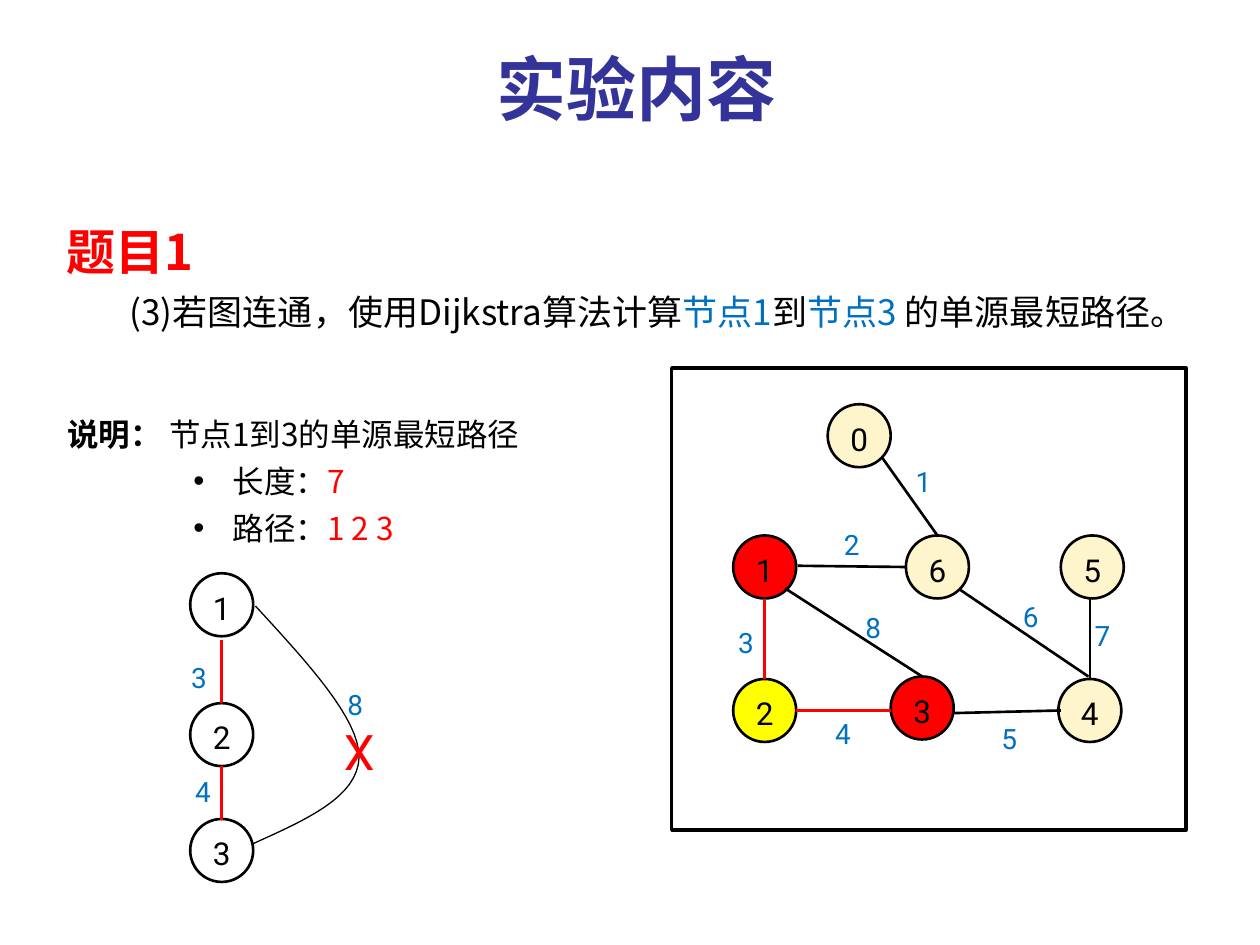
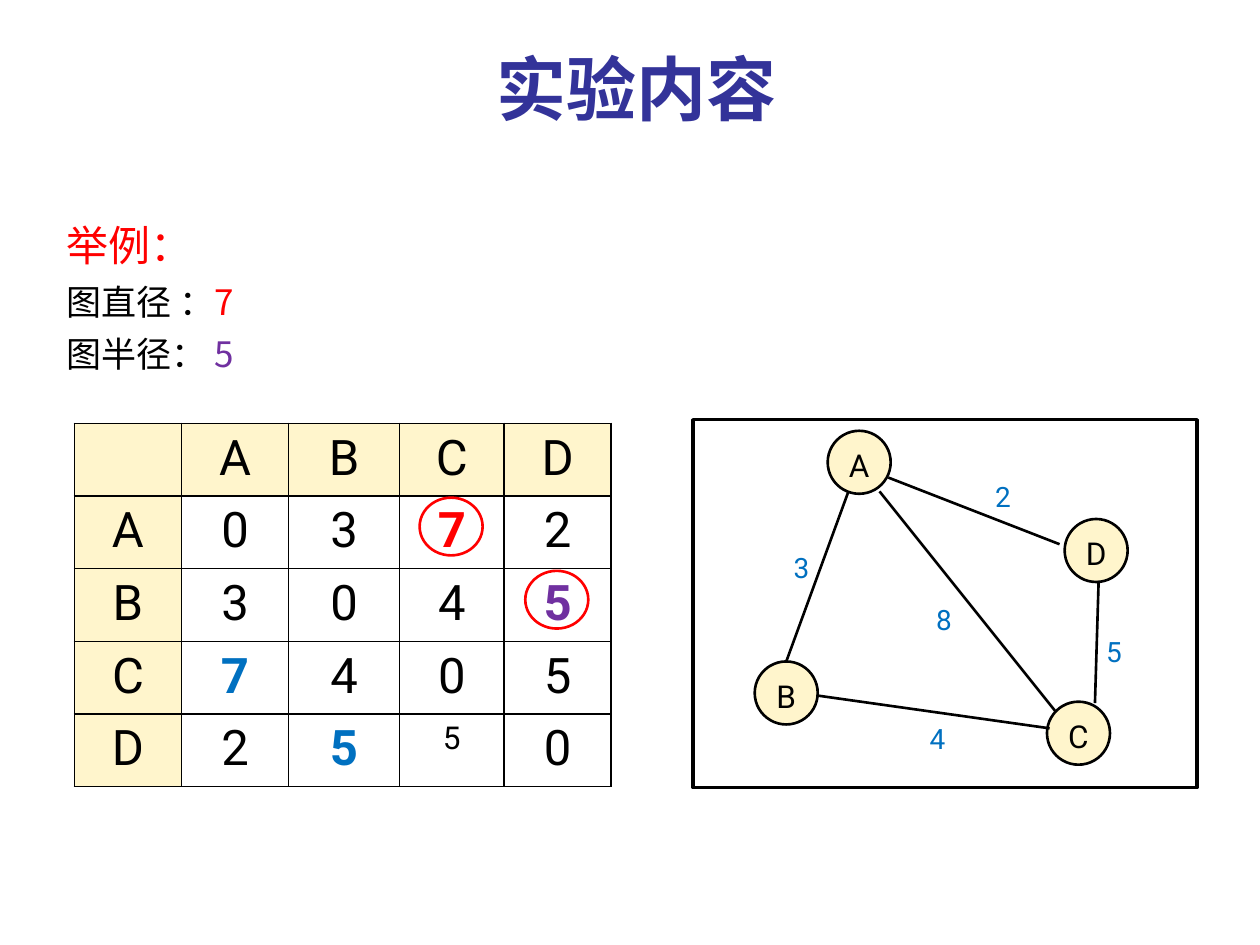
from lxml import etree
from pptx import Presentation
from pptx.dml.color import RGBColor
from pptx.enum import shapes, text
from pptx.oxml import ns
from pptx.util import Pt

COLORS = dict(black="000000", white="FFFFFF", red="FF0000", yellow="FFFF00", cream="FFF5CC",
              blue="0070C0", purple="7030A0", navy="333399")
CJK, LATIN = "Noto Sans CJK SC", "Roboto"
NODE = 36
OVAL, RECT = shapes.MSO_SHAPE.OVAL, shapes.MSO_SHAPE.RECTANGLE
LEFT, CENTER, JUSTIFY = text.PP_ALIGN.LEFT, text.PP_ALIGN.CENTER, text.PP_ALIGN.JUSTIFY


def rgb(color):
    return RGBColor.from_string(COLORS[color])


def assign(target, values):
    for key, value in values.items():
        setattr(target, key, value)


def bezier(start, c1, c2, end, steps=16):
    for step in range(1, steps + 1):
        t = step / steps
        s = 1 - t
        yield tuple(s**3 * a + 3 * s * s * t * b + 3 * s * t * t * c + t**3 * d
                    for a, b, c, d in zip(start, c1, c2, end))


class Deck:
    def __init__(self):
        self.prs = Presentation()
        assign(self.prs, dict(slide_width=Pt(720), slide_height=Pt(540)))

    def new_slide(self):
        self.slide = self.prs.slides.add_slide(self.prs.slide_layouts[6])

    def fill_paragraph(self, paragraph, runs, size, font=LATIN, align=LEFT, spacing=1.0,
                       margin=0, indent=0, bullet=None):
        assign(paragraph, dict(alignment=align, line_spacing=spacing))
        props = paragraph._p.get_or_add_pPr()
        if margin or indent:
            props.set("marL", str(Pt(margin)))
            props.set("indent", str(Pt(indent)))
        if bullet:
            etree.SubElement(props, ns.qn("a:buFont"), typeface="Arial")
            etree.SubElement(props, ns.qn("a:buChar"), char=bullet)
        for words, color, bold in runs:
            run = paragraph.add_run()
            run.text = words
            assign(run.font, dict(size=Pt(size), bold=bold, name=font))
            run.font.color.rgb = rgb(color)
            etree.SubElement(run._r.get_or_add_rPr(), ns.qn("a:ea"), typeface=font)

    def text(self, left, top, width, height, paragraphs, anchor=text.MSO_ANCHOR.TOP, wrap=True):
        frame = self.slide.shapes.add_textbox(Pt(left), Pt(top), Pt(width), Pt(height)).text_frame
        assign(frame, dict(word_wrap=wrap, vertical_anchor=anchor))
        for index, style in enumerate(paragraphs):
            paragraph = frame.add_paragraph() if index else frame.paragraphs[0]
            self.fill_paragraph(paragraph, **style)

    def title(self, words):
        self.text(59.8, 18, 607.7, 59.8,
                  [dict(runs=[(words, "navy", True)], size=40, font=CJK, align=CENTER)],
                  anchor=text.MSO_ANCHOR.BOTTOM)

    def prose(self, left, top, width, height, lines):
        shared = dict(font=CJK, align=JUSTIFY, spacing=1.25)
        self.text(left, top, width, height, [{**shared, **line} for line in lines])

    def outline(self, shape, fill, line, weight):
        shape.shadow.inherit = False
        if fill:
            shape.fill.solid()
            shape.fill.fore_color.rgb = rgb(fill)
        else:
            shape.fill.background()
        shape.line.color.rgb = rgb(line)
        shape.line.width = Pt(weight)

    def shape(self, kind, left, top, width, height, fill, line="black", weight=1.5):
        shape = self.slide.shapes.add_shape(kind, Pt(left), Pt(top), Pt(width), Pt(height))
        self.outline(shape, fill, line, weight)
        return shape

    def node(self, name, left, top, fill="cream"):
        frame = self.shape(OVAL, left, top, NODE, NODE, fill).text_frame
        assign(frame, dict(word_wrap=False, vertical_anchor=text.MSO_ANCHOR.TOP))
        self.fill_paragraph(frame.paragraphs[0], [(name, "black", False)], 18, align=CENTER)

    def edge(self, x1, y1, x2, y2, color="black"):
        line = self.slide.shapes.add_connector(
            shapes.MSO_CONNECTOR.STRAIGHT, Pt(x1), Pt(y1), Pt(x2), Pt(y2))
        line.line.color.rgb = rgb(color)
        line.line.width = Pt(1.5)
        etree.SubElement(line._element.spPr, ns.qn("a:effectLst"))

    def weight(self, value, left, top):
        self.text(left, top, 44, 26.6, [dict(runs=[(value, "blue", False)], size=16)])

    def graph(self, nodes, edges, weights):
        for draw, items in ((self.node, nodes), (self.edge, edges), (self.weight, weights)):
            for item in items:
                draw(*item)

    def curve(self, start, *segments):
        points = [start]
        for segment in segments:
            points.extend(bezier(points[-1], *segment))
        builder = self.slide.shapes.build_freeform(*(Pt(v) for v in start), scale=1.0)
        builder.add_line_segments([(Pt(x), Pt(y)) for x, y in points[1:]], close=False)
        self.outline(builder.convert_to_shape(), None, "black", 0.75)

    def border(self, cell):
        props = cell._tc.get_or_add_tcPr()
        for index, side in enumerate(("lnL", "lnR", "lnT", "lnB")):
            line = etree.Element(ns.qn("a:" + side), w=str(Pt(1)))
            fill = etree.SubElement(line, ns.qn("a:solidFill"))
            etree.SubElement(fill, ns.qn("a:srgbClr"), val=COLORS["black"])
            props.insert(index, line)

    def matrix(self, left, top, widths, row_height, rows, accents, sizes):
        table = self.slide.shapes.add_table(
            len(rows), len(widths), Pt(left), Pt(top), Pt(sum(widths)),
            Pt(row_height * len(rows))).table
        assign(table, dict(first_row=False, horz_banding=False))
        for column, width in zip(table.columns, widths):
            column.width = Pt(width)
        for r, values in enumerate(rows):
            table.rows[r].height = Pt(row_height)
            for c, value in enumerate(values):
                cell = table.cell(r, c)
                cell.fill.solid()
                cell.fill.fore_color.rgb = rgb("white" if r and c else "cream")
                self.border(cell)
                if value.strip():
                    color = accents.get((r, c), "black")
                    self.fill_paragraph(cell.text_frame.paragraphs[0],
                                        [(value, color, (r, c) in accents)],
                                        sizes.get((r, c), 28), align=CENTER)


def shortest_path(deck):
    deck.new_slide()
    deck.prose(31, 114.5, 677.5, 372, [
        dict(runs=[("题目1", "red", True)], size=28),
        dict(runs=[("(3)若图连通，使用Dijkstra算法计算", "black", False), ("节点1", "blue", False),
                   ("到", "black", False), ("节点3 ", "blue", False),
                   ("的单源最短路径。", "black", False)], size=20, indent=36)])
    deck.title("实验内容")
    deck.shape(RECT, 383.8, 210.2, 293.8, 264.2, "white", weight=2)
    deck.graph(
        [("0", 473, 231), ("1", 419, 306, "red"), ("3", 509, 386.6, "red"), ("6", 517.7, 306),
         ("2", 419, 388, "yellow"), ("4", 604.8, 388), ("5", 606.2, 306)],
        [(437, 342, 437, 388, "red"), (509, 406, 455, 406, "red"), (606.2, 406, 545, 407.5),
         (504, 261.4, 535.7, 306), (517.7, 324, 455.8, 323.3), (622.8, 341.3, 622.8, 388),
         (527, 386.6, 448.6, 336.2), (622, 386.6, 548.6, 337)],
        [("1", 516.2, 262), ("2", 475.2, 298), ("3", 414.7, 354.2), ("4", 470.2, 406),
         ("5", 565.2, 409), ("6", 577.4, 339), ("7", 618.5, 350), ("8", 487.4, 345.6)])
    item = dict(size=18, margin=126, indent=-22.5, bullet="•")
    deck.prose(0, 228, 720, 95, [
        dict(runs=[("说明： ", "black", True), ("节点1到3的单源最短路径", "black", False)],
             size=18, margin=31.5),
        dict(item, runs=[("长度：", "black", False), ("7", "red", False)]),
        dict(item, runs=[("路径：", "black", False), ("1 2 3", "red", False)])])
    deck.graph(
        [("1", 108.7, 327.6, "white"), ("2", 108.7, 401.8, "white"), ("3", 108.7, 468, "white")],
        [(126.7, 401.8, 126.7, 365.8, "red"), (126.7, 468.7, 126.7, 437.8, "red")],
        [("3", 102.2, 373.7), ("4", 104.4, 439.2), ("8", 191.5, 389.5)])
    deck.curve((146, 346.3), ((175.7, 378.7), (205.2, 410.4), (205.2, 432.7)),
               ((204.5, 455.8), (174.2, 468.7), (144, 482.4)))
    deck.text(189.4, 409, 31, 41, [dict(runs=[("X", "red", False)], size=28)], wrap=False)


def diameter_and_radius(deck):
    deck.new_slide()
    deck.prose(31, 114.5, 653, 372, [
        dict(runs=[("举例：", "red", False)], size=24),
        dict(runs=[("图直径 ：", "black", False), ("7", "red", False)], size=20),
        dict(runs=[("图半径： ", "black", False), ("5", "purple", False)], size=20)])
    deck.title("实验内容")
    deck.shape(RECT, 396, 239.8, 288, 210.2, "white", weight=2)
    deck.graph(
        [("A", 473, 246.2), ("B", 431.3, 378), ("C", 598.3, 401), ("D", 608.4, 296.6)],
        [(599.8, 416.2, 466.6, 397.4), (627.8, 332, 625.7, 401.8), (449.3, 378, 484.6, 281.5),
         (507.6, 272.9, 605.5, 311), (502.6, 280.8, 603.4, 406.8)],
        [("8", 527.8, 340.6), ("3", 446.4, 311), ("4", 524.2, 409), ("5", 625, 359.3),
         ("2", 561.6, 270.7)])
    deck.matrix(42.5, 242, [61.2, 61.2, 63.4, 59.8, 61.2], 41.5,
                [" ABCD", "A0372", "B3045", "C7405", "D2550"],
                {(1, 3): "red", (2, 4): "purple", (3, 1): "blue", (4, 2): "blue"}, {(4, 3): 18})
    for left, top in ((239.8, 284.4), (300.2, 326.2)):
        deck.shape(OVAL, left, top, NODE, 33, None, "red")


deck = Deck()
shortest_path(deck)
diameter_and_radius(deck)
deck.prs.save("out.pptx")
